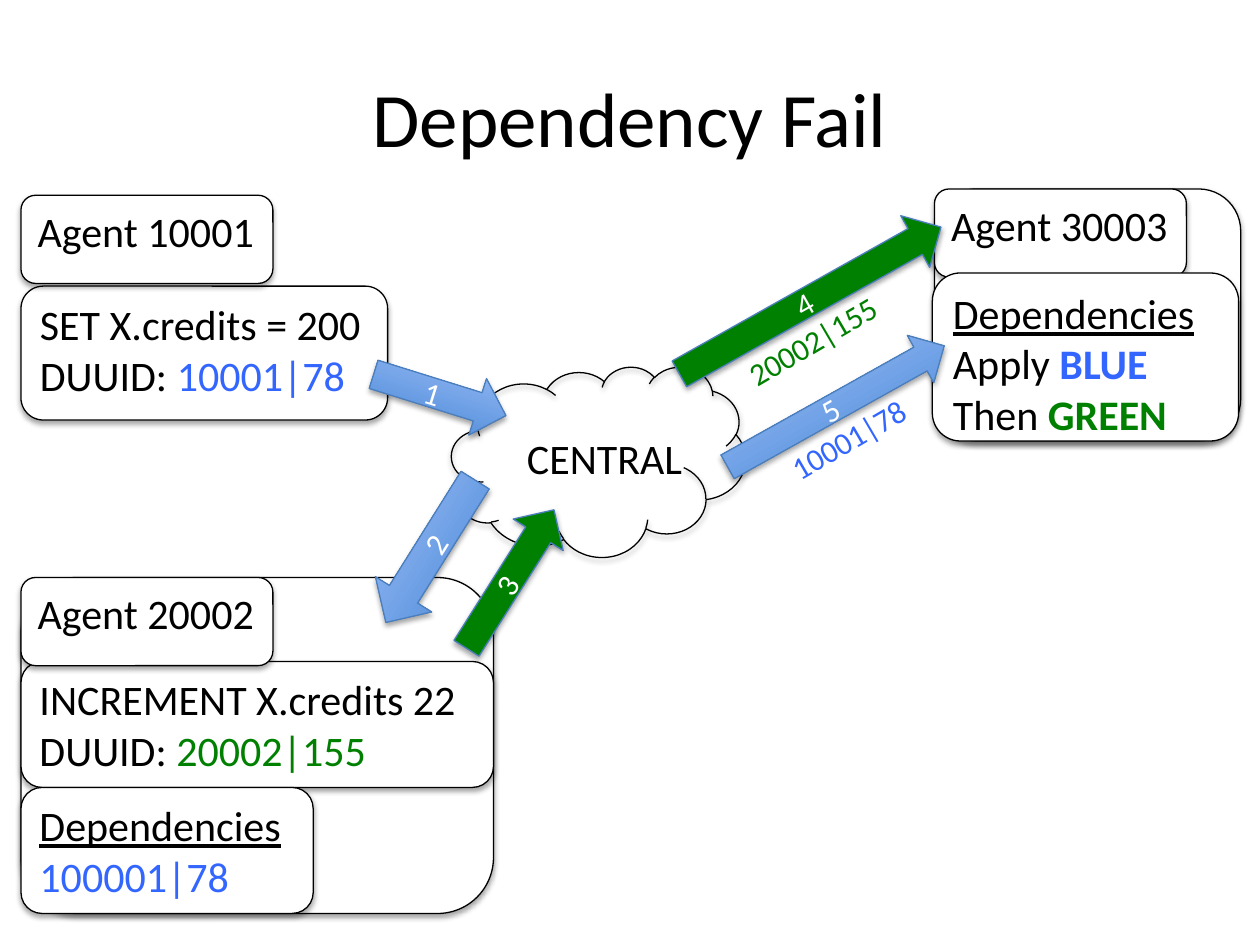
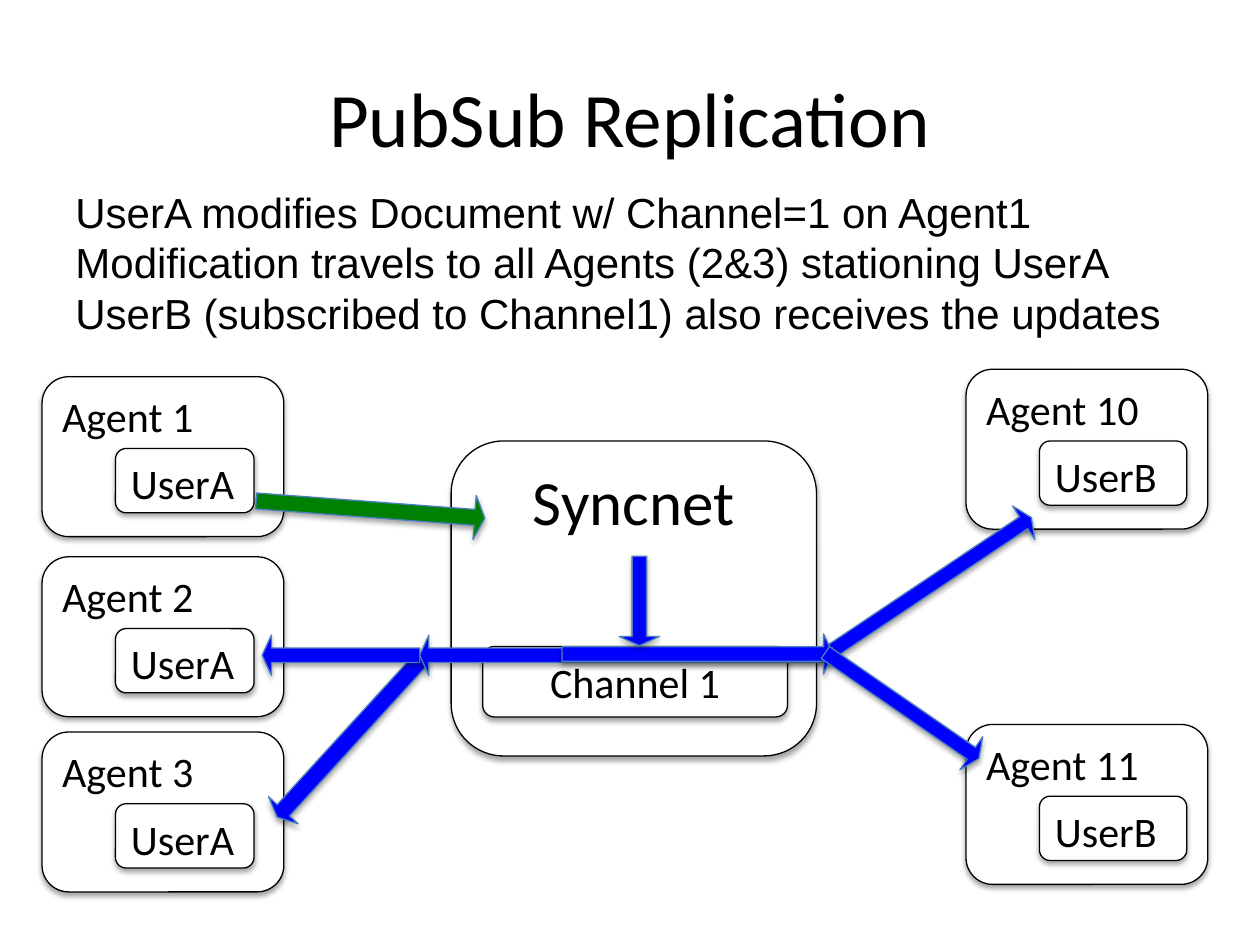
import pptx
import pptx.dml.color
import pptx.enum.shapes
import pptx.enum.text
import pptx.oxml
import pptx.util

Pt = pptx.util.Pt
SHAPE = pptx.enum.shapes.MSO_SHAPE
ALIGN = pptx.enum.text.PP_ALIGN
ANCHOR = pptx.enum.text.MSO_ANCHOR

BLACK, WHITE = "000000", "FFFFFF"
BLUE, GREEN, ROUTE_BLUE = "3366FF", "008000", "0000FF"
ARROW_EDGE = "4B7EBC"
SKY = ("3F80CE", "A4C4FF")
THIN_HEAD = (0.361, 0.229)

SHADOW = (
    '<a:effectLst xmlns:a="http://schemas.openxmlformats.org/drawingml/2006/main">'
    '<a:outerShdw blurRad="39370" dist="22860" dir="5400000" rotWithShape="0">'
    '<a:srgbClr val="000000"><a:alpha val="35000"/></a:srgbClr>'
    '</a:outerShdw></a:effectLst>'
)


def rgb(code):
    return pptx.dml.color.RGBColor.from_string(code)


class Painter:
    """Holds the deck's style and the page being drawn."""

    font = "Calibri"
    body_size = 24

    def __init__(self, deck):
        self.deck = deck
        self.page = None

    def new_page(self, title):
        self.page = self.deck.slides.add_slide(self.deck.slide_layouts[5])
        box = self.page.shapes.title
        box.left, box.top, box.width, box.height = Pt(36), Pt(21.6), Pt(648), Pt(90)
        self.add_text(box, [title], size=44, align=ALIGN.CENTER, anchor=ANCHOR.MIDDLE)

    def add_text(self, box, lines, size=body_size, color=BLACK, font=font,
                 align=ALIGN.LEFT, anchor=ANCHOR.TOP):
        """Each line is a string or a list of (text, format) spans."""
        frame = box.text_frame
        frame.word_wrap = True
        frame.vertical_anchor = anchor
        for number, line in enumerate(lines):
            para = frame.add_paragraph() if number else frame.paragraphs[0]
            para.alignment = align
            for text, style in ([(line, {})] if isinstance(line, str) else line):
                span = para.add_run()
                span.text = text
                span.font.name = font
                span.font.size = Pt(size)
                span.font.bold = style.get("bold", False)
                span.font.underline = style.get("underline", False)
                span.font.color.rgb = rgb(style.get("color", color))

    def shape(self, kind, place, fill, edge):
        """Fill is one colour, a pair for a gradient, or None."""
        box = self.page.shapes.add_shape(kind, *map(Pt, place))
        if fill is None:
            box.fill.background()
        elif isinstance(fill, tuple):
            box.fill.gradient()
            box.fill.gradient_angle = 90
            for stop, code, position in zip(box.fill.gradient_stops, fill, (0, 1)):
                stop.color.rgb = rgb(code)
                stop.position = position
        else:
            box.fill.solid()
            box.fill.fore_color.rgb = rgb(fill)
        box.line.color.rgb = rgb(edge)
        box.line.width = Pt(0.75)
        box.element.spPr.append(pptx.oxml.parse_xml(SHADOW))
        return box

    def card(self, place, lines=(), **style):
        box = self.shape(SHAPE.ROUNDED_RECTANGLE, place, WHITE, BLACK)
        self.add_text(box, lines, **style)

    def cloud(self, place):
        self.shape(SHAPE.CLOUD, place, None, BLACK)

    def arrow(self, place, angle, fill, label=None, head=None, flipped=False):
        box = self.shape(SHAPE.RIGHT_ARROW, place, fill, ARROW_EDGE)
        box.rotation = angle
        if flipped:
            box.element.spPr.xfrm.set("flipV", "1")
        if head:
            box.adjustments[0], box.adjustments[1] = head
        if label:
            self.add_text(box, [label], size=18, color=WHITE,
                          align=ALIGN.CENTER, anchor=ANCHOR.MIDDLE)

    def label(self, place, lines, angle=0, **style):
        box = self.page.shapes.add_textbox(*map(Pt, place))
        box.rotation = angle
        self.add_text(box, lines, **style)


def draw_dependency_fail(painter):
    painter.new_page("Dependency Fail")
    heading = [("Dependencies", {"underline": True})]
    blue, green = {"color": BLUE}, {"color": GREEN}

    painter.card((534, 108, 175, 144))
    painter.card((12, 330, 270, 192))
    painter.card((12, 378, 270, 72),
                 ["INCREMENT X.credits 22", [("DUUID: ", {}), ("20002|155", green)]])
    painter.card((12, 163.5, 209.5, 76.5),
                 ["SET X.credits = 200", [("DUUID: ", {}), ("10001|78", blue)]])
    for left, top, agent in [(12, 330, "20002"), (12, 111.6, "10001"), (534, 108, "30003")]:
        painter.card((left, top, 144, 50.4), [f"Agent {agent}"])

    painter.cloud((258, 209.5, 168, 108.7))
    painter.label((294, 243.4, 126, 36), ["CENTRAL"])
    painter.arrow((198, 296, 96, 38), 122.1, SKY, "2", flipped=True)
    painter.arrow((244.8, 314, 93.6, 33.8), 302.3, GREEN, "3")
    painter.arrow((377.3, 154.8, 171.4, 33.8), 330.7, GREEN, "4")

    painter.card((532.8, 156, 175, 96), [
        heading,
        [("Apply ", {}), ("BLUE", {"color": BLUE, "bold": True})],
        [("Then ", {}), ("GREEN", {"color": GREEN, "bold": True})],
    ])
    painter.arrow((406.8, 216.7, 141.8, 31), 330.8, SKY, "5")
    painter.arrow((211.7, 208.8, 79.2, 33.8), 17.3, SKY, "1")
    painter.card((12, 450, 167, 72), [heading, [("100001|78", blue)]])

    painter.label((440.6, 233.3, 99.4, 28.8), ["10001|78"], 329.6, size=18, color=BLUE)
    painter.label((416.2, 179.3, 99.4, 28.8), ["20002|155"], 329.6, size=18, color=GREEN)


def draw_pubsub_replication(painter):
    painter.new_page("PubSub Replication")
    painter.card((257.8, 252, 208.8, 180), ["Syncnet"], size=36, align=ALIGN.CENTER)
    painter.card((275.8, 369.4, 174.2, 40.3), ["Channel 1"], align=ALIGN.CENTER)

    agents = [
        (24, 215.3, "Agent 1", "UserA", 79.2),
        (24, 318.2, "Agent 2", "UserA", 79.2),
        (24, 418.3, "Agent 3", "UserA", 79.2),
        (552, 211, "Agent 10", "UserB", 84.2),
        (552, 414, "Agent 11", "UserB", 84.2),
    ]
    for left, top, agent, user, user_width in agents:
        painter.card((left, top, 138.2, 91.4), [agent])
        painter.card((left + 42, top + 41, user_width, 36.7), [user])

    painter.arrow((146.2, 278.6, 131, 25.2), 4.3, GREEN, head=THIN_HEAD)
    routes = [
        (460.8, 323.3, 140.4, 326.2, THIN_HEAD),
        (138.2, 409.7, 123.8, 132.4, (0.417, 0.229)),
        (149.8, 362.9, 90, 180, THIN_HEAD),
        (239.8, 362.9, 236.2, 180, THIN_HEAD),
        (321.1, 362.2, 154.8, 0, THIN_HEAD),
        (462.2, 391.7, 106.6, 34.6, THIN_HEAD),
        (339.8, 331.9, 51.1, 90, THIN_HEAD),
    ]
    for left, top, length, angle, head in routes:
        painter.arrow((left, top, length, 23), angle, ROUTE_BLUE, head=head)

    painter.label((36, 103, 660, 94.3), [
        "UserA modifies Document w/ Channel=1 on Agent1",
        "Modification travels to all Agents (2&3) stationing UserA",
        "UserB (subscribed to Channel1) also receives the updates",
    ], font="Arial")


def main():
    deck = pptx.Presentation()
    deck.slide_width, deck.slide_height = Pt(720), Pt(540)
    painter = Painter(deck)
    draw_dependency_fail(painter)
    draw_pubsub_replication(painter)
    deck.save("out.pptx")


if __name__ == "__main__":
    main()
